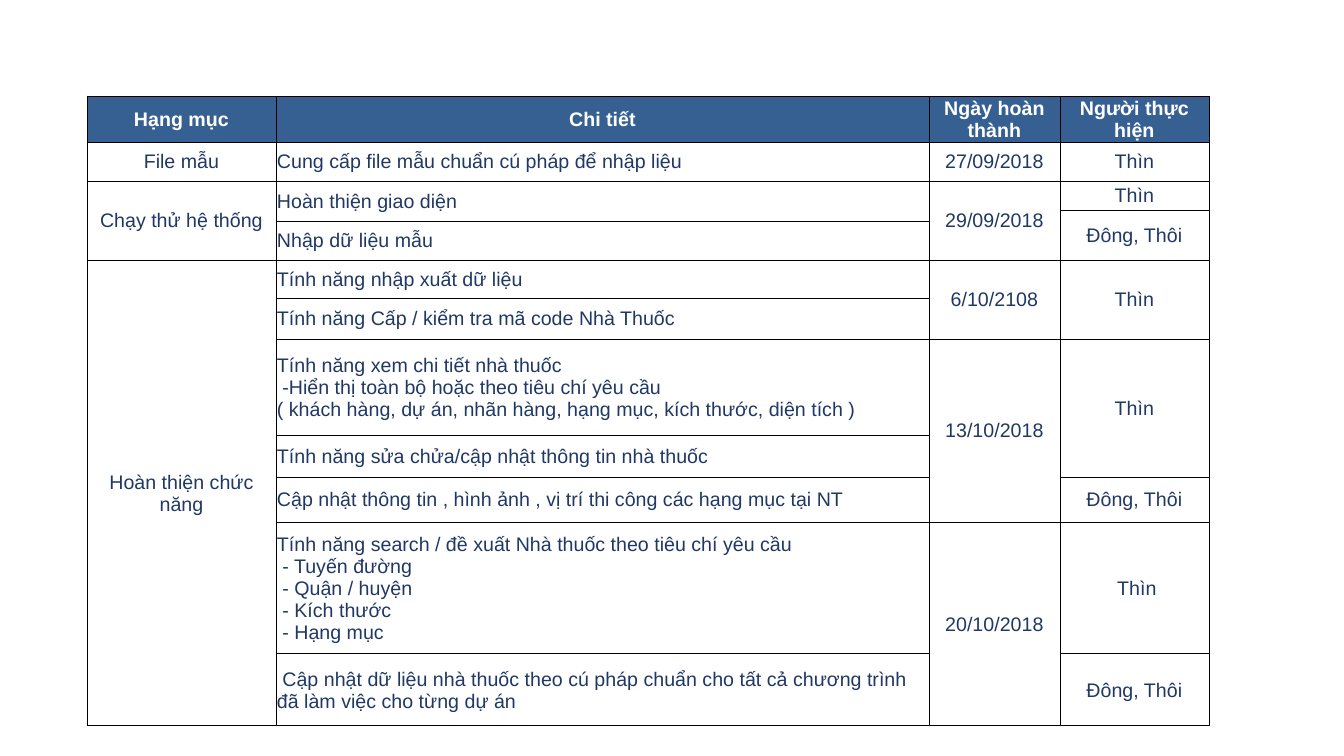
import pptx
import pptx.util
import pptx.dml.color
import pptx.enum.text
import pptx.oxml
import pptx.oxml.ns
from dataclasses import dataclass

HEADERS = ["Hạng mục", "Chi tiết", "Ngày hoàn thành", "Người thực hiện"]
SAME = None
TASKS = [
    ("File mẫu", "Cung cấp file mẫu chuẩn cú pháp để nhập liệu", "27/09/2018", "Thìn"),
    ("Chạy thử hệ thống", "Hoàn thiện giao diện", "29/09/2018", "Thìn"),
    (SAME, SAME, SAME, "Đông, Thôi"),
    (SAME, "Nhập dữ liệu mẫu", SAME, SAME),
    ("Hoàn thiện chức năng", "Tính năng nhập xuất dữ liệu", "6/10/2108", "Thìn"),
    (SAME, "Tính năng Cấp / kiểm tra mã code Nhà Thuốc", SAME, SAME),
    (SAME, "Tính năng xem chi tiết nhà thuốc\n"
           " -Hiển thị toàn bộ hoặc theo tiêu chí yêu cầu\n"
           "( khách hàng, dự án, nhãn hàng, hạng mục, kích thước, diện tích )",
     "13/10/2018", "Thìn"),
    (SAME, "Tính năng sửa chửa/cập nhật thông tin nhà thuốc", SAME, SAME),
    (SAME, "Cập nhật thông tin , hình ảnh , vị trí thi công các hạng mục tại NT",
     SAME, "Đông, Thôi"),
    (SAME, "Tính năng search / đề xuất Nhà thuốc theo tiêu chí yêu cầu\n"
           " - Tuyến đường\n - Quận / huyện\n - Kích thước\n - Hạng mục",
     "20/10/2018", " Thìn"),
    (SAME, " Cập nhật dữ liệu nhà thuốc theo cú pháp chuẩn cho tất cả chương trình "
           "đã làm việc cho từng dự án", SAME, "Đông, Thôi"),
]
ROWS = [HEADERS] + TASKS
COLUMN_WIDTHS = [189, 653, 131, 149]
ROW_HEIGHTS = [46, 39, 29, 11, 39, 38, 41, 96, 42, 45, 132, 72]
TABLE_LEFT, TABLE_TOP = 87, 96
DETAIL_COLUMN = 1


@dataclass(frozen=True)
class Theme:
    font: str = "Arial"
    size: int = 14
    header_fill: str = "366092"
    header_text: str = "FFFFFF"
    body_fill: str = "FFFFFF"
    body_text: str = "203864"
    border: str = "000000"
    border_width: float = 0.5


THEME = Theme()


def px(value):
    return pptx.util.Emu(round(value * 914400 / 100.8))


def rgb(value):
    return pptx.dml.color.RGBColor.from_string(value)


def write_text(text_frame, text, color, bold=False, centered=True):
    align = pptx.enum.text.PP_ALIGN
    for index, line in enumerate(text.split("\n")):
        paragraph = text_frame.paragraphs[0] if index == 0 else text_frame.add_paragraph()
        paragraph.alignment = align.CENTER if centered else align.LEFT
        run = paragraph.add_run()
        run.text = line
        run.font.name = THEME.font
        run.font.size = pptx.util.Pt(THEME.size)
        run.font.bold = bold
        run.font.color.rgb = rgb(color)


def format_cell(cell, fill):
    cell.margin_left = cell.margin_right = cell.margin_top = px(1)
    cell.margin_bottom = 0
    cell.vertical_anchor = pptx.enum.text.MSO_ANCHOR.MIDDLE
    properties = cell._tc.get_or_add_tcPr()
    for side in ("lnL", "lnR", "lnT", "lnB"):
        properties.append(pptx.oxml.parse_xml(
            f'<a:{side} {pptx.oxml.ns.nsdecls("a")} w="{pptx.util.Pt(THEME.border_width)}">'
            f'<a:solidFill><a:srgbClr val="{THEME.border}"/></a:solidFill></a:{side}>'))
    cell.fill.solid()
    cell.fill.fore_color.rgb = rgb(fill)


def span_end(row, column):
    end = row
    while end + 1 < len(ROWS) and ROWS[end + 1][column] is SAME:
        end += 1
    return end


presentation = pptx.Presentation()
presentation.slide_width = px(1344)
presentation.slide_height = px(756)
slide = presentation.slides.add_slide(presentation.slide_layouts[6])

table = slide.shapes.add_table(
    len(ROWS), len(HEADERS), px(TABLE_LEFT), px(TABLE_TOP),
    px(sum(COLUMN_WIDTHS)), px(sum(ROW_HEIGHTS))).table
table.horz_banding = False
for column, width in zip(table.columns, COLUMN_WIDTHS):
    column.width = px(width)
for row, height in zip(table.rows, ROW_HEIGHTS):
    row.height = px(height)

for row_index, texts in enumerate(ROWS):
    is_header = row_index == 0
    for column_index, text in enumerate(texts):
        cell = table.cell(row_index, column_index)
        format_cell(cell, THEME.header_fill if is_header else THEME.body_fill)
        if text is SAME:
            continue
        write_text(cell.text_frame, text,
                   THEME.header_text if is_header else THEME.body_text,
                   bold=is_header, centered=is_header or column_index != DETAIL_COLUMN)
        end = span_end(row_index, column_index)
        if end > row_index:
            cell.merge(table.cell(end, column_index))

presentation.save("out.pptx")
